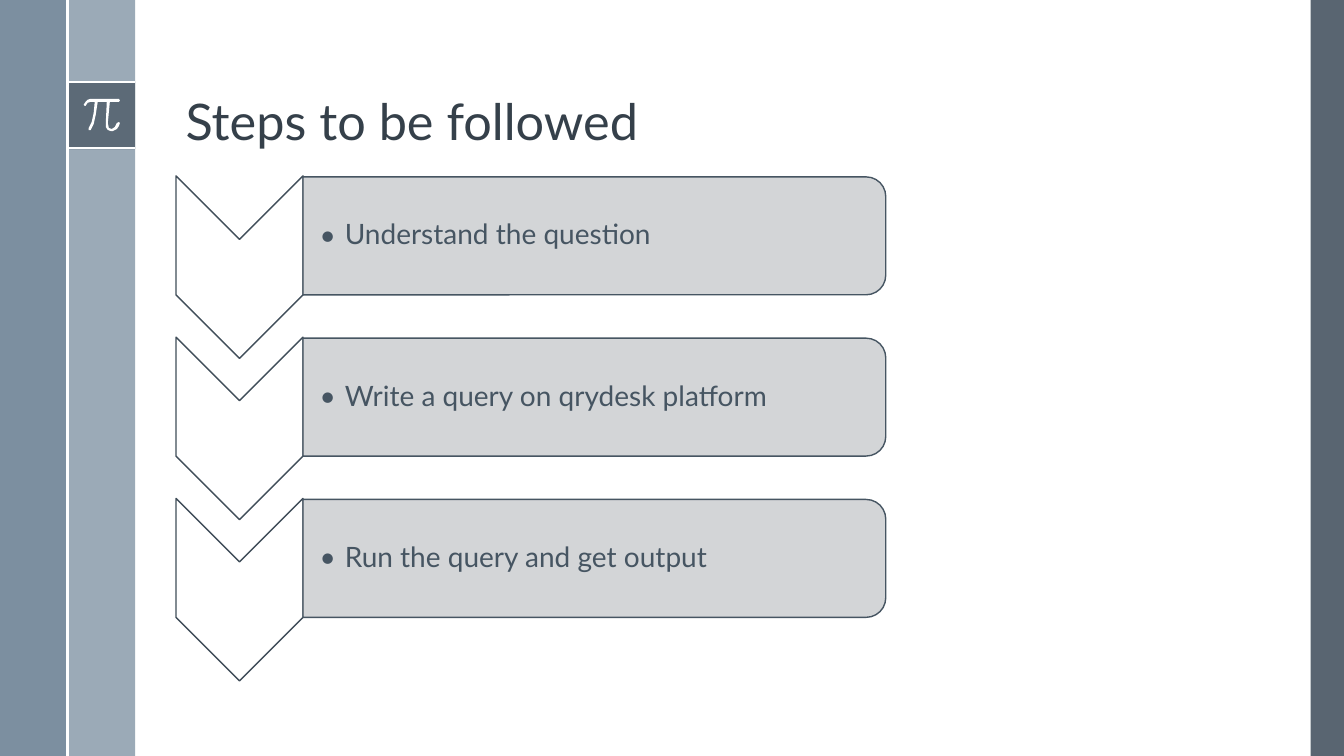
from lxml import etree
from pptx import Presentation
from pptx.dml.color import RGBColor
from pptx.enum import shapes, text
from pptx.oxml.ns import qn
from pptx.util import Inches, Pt

WHITE = RGBColor(0xFF, 0xFF, 0xFF)
SLATE = RGBColor(0x47, 0x55, 0x62)
STEEL = RGBColor(0x6A, 0x80, 0x93)
MIST = RGBColor(0x9B, 0xAA, 0xB7)
TITLE_INK = RGBColor(0x35, 0x40, 0x4A)
CHEVRON_EDGE = RGBColor(0x40, 0x4D, 0x59)
BAR_GREY = RGBColor(0xCF, 0xD1, 0xD3)
STEP_INK = RGBColor(0x46, 0x55, 0x62)
FONT = "Lato"


def paint(shape, colour, opacity=100, edge=None):
    shape.shadow.inherit = False
    shape.fill.solid()
    shape.fill.fore_color.rgb = colour
    if opacity < 100:
        tint = shape._element.spPr.find(qn("a:solidFill"))[0]
        etree.SubElement(tint, qn("a:alpha"), val=str(opacity * 1000))
    if edge is None:
        shape.line.fill.background()
    else:
        shape.line.color.rgb = edge
        shape.line.width = Pt(1)


def write(para, words, size, colour):
    para.alignment = text.PP_ALIGN.LEFT
    para.line_spacing = 0.9
    span = para.add_run()
    span.text = words
    span.font.name = FONT
    span.font.size = Pt(size)
    span.font.color.rgb = colour


deck = Presentation()
deck.slide_width = Inches(13.33)
deck.slide_height = Inches(7.5)
page = deck.slides.add_slide(deck.slide_layouts[5])

# Side bands and the symbol tile
bands = [
    (13, 0, 0.33, 7.5, SLATE, 90),
    (0.67, 0, 0.67, 7.5, MIST, 100),
    (0, 0, 0.67, 7.5, STEEL, 88),
    (0.67, 0.81, 0.67, 0.67, SLATE, 75),
]
for left, top, width, height, colour, opacity in bands:
    band = page.shapes.add_shape(
        shapes.MSO_SHAPE.RECTANGLE,
        Inches(left), Inches(top), Inches(width), Inches(height))
    paint(band, colour, opacity)

# White rules around the tile
for x1, y1, x2, y2 in [(0.67, 0.81, 1.34, 0.81), (0.67, 1.47, 1.34, 1.47),
                       (0.67, 0, 0.67, 7.5)]:
    rule = page.shapes.add_connector(
        shapes.MSO_CONNECTOR.STRAIGHT,
        Inches(x1), Inches(y1), Inches(x2), Inches(y2))
    rule.line.color.rgb = WHITE
    rule.line.width = Pt(1.5)
    etree.SubElement(rule._element.spPr, qn("a:effectLst"))

# Pi symbol, in hundredths of an inch
pi_outline = [
    (118, 98), (90, 98), (87, 99), (85, 101), (83, 104), (84, 105),
    (85, 105), (87, 102), (90, 101), (94, 101), (93, 112), (91, 121),
    (88, 127), (88, 129), (90, 129), (93, 123), (95, 114), (97, 101),
    (106, 101), (105, 122), (105, 126), (107, 129), (110, 130), (112, 130),
    (116, 128), (118, 125), (119, 122), (118, 121), (116, 122), (114, 126),
    (111, 128), (108, 127), (107, 122), (109, 101), (118, 101), (119, 100),
]
pen = page.shapes.build_freeform(*pi_outline[0], scale=Inches(0.01))
pen.add_line_segments(pi_outline[1:], close=True)
paint(pen.convert_to_shape(), WHITE)

# Title
title = page.shapes.title
title.left, title.top = Inches(1.74), Inches(0.19)
title.width, title.height = Inches(10.7), Inches(1.36)
title.text_frame.auto_size = text.MSO_AUTO_SIZE.NONE
title.text_frame.vertical_anchor = text.MSO_ANCHOR.BOTTOM
write(title.text_frame.paragraphs[0], "Steps to be followed", 36, TITLE_INK)

# Steps: a downward chevron, a bar rounded on the right, a bulleted line
steps = ["Understand the question", "Write a query on qrydesk platform",
         "Run the query and get output"]
STEP_PITCH = 1.6
for index, step in enumerate(steps):
    drop = index * STEP_PITCH
    chevron = page.shapes.add_shape(
        shapes.MSO_SHAPE.CHEVRON,
        Inches(1.47), Inches(2.02 + drop), Inches(1.81), Inches(1.26))
    chevron.rotation = 90
    paint(chevron, WHITE, edge=CHEVRON_EDGE)

    bar = page.shapes.add_shape(
        shapes.MSO_SHAPE.ROUND_2_SAME_RECTANGLE,
        Inches(5.31), Inches(-0.55 + drop), Inches(1.17), Inches(5.78))
    bar.rotation = 90
    paint(bar, BAR_GREY, 90, STEP_INK)

    box = page.shapes.add_textbox(
        Inches(3.01), Inches(1.81 + drop), Inches(5.73), Inches(1.06))
    frame = box.text_frame
    frame.word_wrap = True
    frame.vertical_anchor = text.MSO_ANCHOR.MIDDLE
    frame.margin_left = Inches(0.16)
    frame.margin_top = frame.margin_right = frame.margin_bottom = Inches(0.01)
    para = frame.paragraphs[0]
    write(para, step, 20, STEP_INK)
    props = para._p.get_or_add_pPr()
    props.set("marL", str(Inches(0.25)))
    props.set("indent", str(Inches(-0.25)))
    etree.SubElement(props, qn("a:buFont"), typeface=FONT)
    etree.SubElement(props, qn("a:buChar"), char="•")

deck.save("out.pptx")
